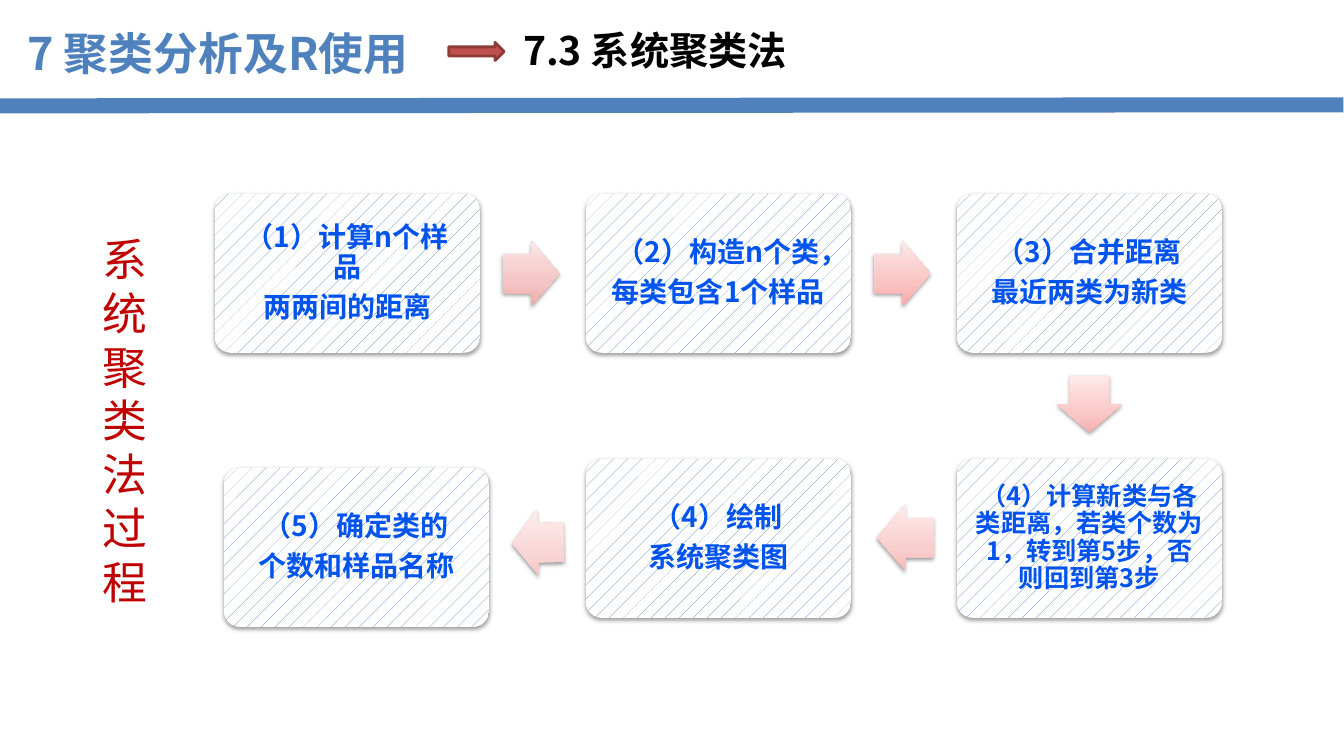
from lxml import etree
from pptx import Presentation
from pptx.dml.color import RGBColor
from pptx.enum.dml import MSO_PATTERN
from pptx.enum.shapes import MSO_CONNECTOR, MSO_SHAPE
from pptx.enum.text import MSO_ANCHOR, MSO_AUTO_SIZE, PP_ALIGN
from pptx.oxml import parse_xml
from pptx.oxml.ns import nsdecls, qn
from pptx.util import Inches, Pt

FONT = "Noto Sans CJK SC"
COLORS = {
    "blue": "4F81BD", "red": "C0504D", "red_edge": "8E3B39",
    "dark_red": "C00000", "step_text": "0053EC", "black": "000000",
    "white": "FFFFFF",
}
# Flow grid: first cell, distance between cells, cell size (inches)
LEFT, TOP, COL, ROW = 2.13, 1.92, 3.68, 2.63
BOX_W, BOX_H = 2.63, 1.58
ARROW_LONG, ARROW_WIDE = 0.56, 0.65


def rgb(name):
    return RGBColor.from_string(COLORS[name])


class FlowSlide:
    def __init__(self, prs):
        self.s = prs.slides.add_slide(prs.slide_layouts[5])
        self.s.background.fill.solid()
        self.s.background.fill.fore_color.rgb = rgb("white")

    def set_text(self, sp, text, size, color, bold=True, align=PP_ALIGN.LEFT):
        tf = sp.text_frame
        tf.text = text
        tf.word_wrap = True
        for p in tf.paragraphs:
            p.alignment = align
            for r in p.runs:
                r.font.size, r.font.bold, r.font.name = Pt(size), bold, FONT
                r.font.color.rgb = rgb(color)
                ea = etree.SubElement(r.font._element, qn("a:ea"))
                ea.set("typeface", FONT)
        return tf

    def title(self, text, x, y, w, h):
        sp = self.s.shapes.title
        sp.left, sp.top, sp.width, sp.height = map(Inches, (x, y, w, h))
        tf = self.set_text(sp, text, 32, "blue")
        tf.vertical_anchor = MSO_ANCHOR.TOP
        tf.auto_size = MSO_AUTO_SIZE.SHAPE_TO_FIT_TEXT

    def label(self, text, x, y, w, h, size, color, bold=True):
        sp = self.s.shapes.add_textbox(*map(Inches, (x, y, w, h)))
        tf = self.set_text(sp, text, size, color, bold)
        tf.auto_size = MSO_AUTO_SIZE.SHAPE_TO_FIT_TEXT

    def rule(self, x1, y1, x2, y2, width):
        line = self.s.shapes.add_connector(
            MSO_CONNECTOR.STRAIGHT, *map(Inches, (x1, y1, x2, y2)))
        line.line.color.rgb = rgb("blue")
        line.line.width = Pt(width)
        line._element.spPr.find(qn("a:ln")).set("cap", "sq")
        etree.SubElement(line._element.spPr, qn("a:effectLst"))

    def shape(self, kind, x, y, w, h):
        sp = self.s.shapes.add_shape(kind, *map(Inches, (x, y, w, h)))
        sp.shadow.inherit = False
        return sp

    def pointer(self, x, y, w, h):
        sp = self.shape(MSO_SHAPE.RIGHT_ARROW, x, y, w, h)
        sp.fill.solid()
        sp.fill.fore_color.rgb = rgb("red")
        sp.line.color.rgb = rgb("red_edge")
        sp.line.width = Pt(2)

    def soft_shadow(self, sp):
        effects = sp._element.spPr.find(qn("a:effectLst"))
        effects.append(parse_xml(
            f'<a:outerShdw {nsdecls("a")} blurRad="{Pt(3.1)}" dist="{Pt(1.6)}" '
            'dir="5400000" rotWithShape="0"><a:srgbClr val="000000">'
            '<a:alpha val="38000"/></a:srgbClr></a:outerShdw>'))

    def step(self, text, col, row, shift=0, size=20):
        sp = self.shape(MSO_SHAPE.ROUNDED_RECTANGLE, LEFT + col * COL + shift,
                        TOP + row * ROW + shift, BOX_W, BOX_H)
        sp.adjustments[0] = 0.1
        sp.fill.patterned()
        sp.fill.pattern = MSO_PATTERN.PERCENT_5
        sp.fill.fore_color.rgb = rgb("blue")
        sp.fill.back_color.rgb = rgb("white")
        sp.line.fill.background()
        self.soft_shadow(sp)
        tf = self.set_text(sp, text, size, "step_text", align=PP_ALIGN.CENTER)
        tf.vertical_anchor = MSO_ANCHOR.MIDDLE
        tf.margin_left = tf.margin_right = Inches(0.13)
        tf.margin_top = tf.margin_bottom = Inches(0.13)
        for p in tf.paragraphs:
            p.line_spacing = 0.9
            p.space_after = Pt(7)

    def arrow(self, kind, x, y, stops, length=ARROW_LONG, turn=0):
        w, h = length, ARROW_WIDE
        if kind == MSO_SHAPE.DOWN_ARROW:
            w, h = h, w
        sp = self.shape(kind, x, y, w, h)
        sp.adjustments[0], sp.adjustments[1] = 0.6, 0.5
        sp.rotation = turn
        sp.line.fill.background()
        self.soft_shadow(sp)
        marks = "".join(f'<a:gs pos="{pos}"><a:srgbClr val="{c}"/></a:gs>'
                        for pos, c in zip((0, 35000, 100000), stops))
        sp._element.spPr.find(qn("a:prstGeom")).addnext(parse_xml(
            f'<a:gradFill {nsdecls("a")} rotWithShape="1"><a:gsLst>{marks}'
            '</a:gsLst><a:lin ang="16200000" scaled="0"/></a:gradFill>'))


def main():
    prs = Presentation()
    prs.slide_width, prs.slide_height = Inches(13.33), Inches(7.5)
    flow = FlowSlide(prs)

    # Heading
    flow.title("7 聚类分析及R使用", 0.17, 0.2, 5.57, 0.64)
    flow.rule(0.07, 1.05, 13.25, 1.04, 10.75)
    flow.label("7.3 系统聚类法", 5.09, 0.21, 7.03, 0.57, 28, "black")
    flow.pointer(4.45, 0.42, 0.55, 0.18)

    # Side caption
    flow.label("系统聚类法\n过程", 0.92, 2.25, 0.71, 3.87, 32, "dark_red", False)

    # Steps
    flow.step("（1）计算n个样品\n两两间的距离", 0, 0)
    flow.step("（2）构造n个类，\n每类包含1个样品", 1, 0)
    flow.step("（3）合并距离\n最近两类为新类", 2, 0)
    flow.step("（4）计算新类与各类距离，若类个数为1，转到第5步，否则回到第3步",
              2, 1, size=18)
    flow.step("（4）绘制\n系统聚类图", 1, 1)
    flow.step("（5）确定类的\n个数和样品名称", 0, 1, shift=0.09)

    # Arrows between the steps
    right, down, left = (MSO_SHAPE.RIGHT_ARROW, MSO_SHAPE.DOWN_ARROW,
                         MSO_SHAPE.LEFT_ARROW)
    first_gap = LEFT + BOX_W + 0.23
    flow.arrow(right, first_gap, 2.39, ("EFAAA8", "F3C4C3", "FBE8E7"))
    flow.arrow(right, first_gap + COL, 2.39, ("F9A8A7", "F9C3C2", "FEE7E7"))
    flow.arrow(down, 10.48, 3.73, ("F8B1AF", "F9C8C7", "FEE9E8"))
    flow.arrow(left, 8.7, 5.01, ("F7BBBA", "F9CFCE", "FEEBEB"))
    flow.arrow(left, 5.08, 5.06, ("F7C6C5", "F9D6D6", "FDEEEE"),
               length=0.51, turn=-1.5)

    prs.save("out.pptx")


if __name__ == "__main__":
    main()
